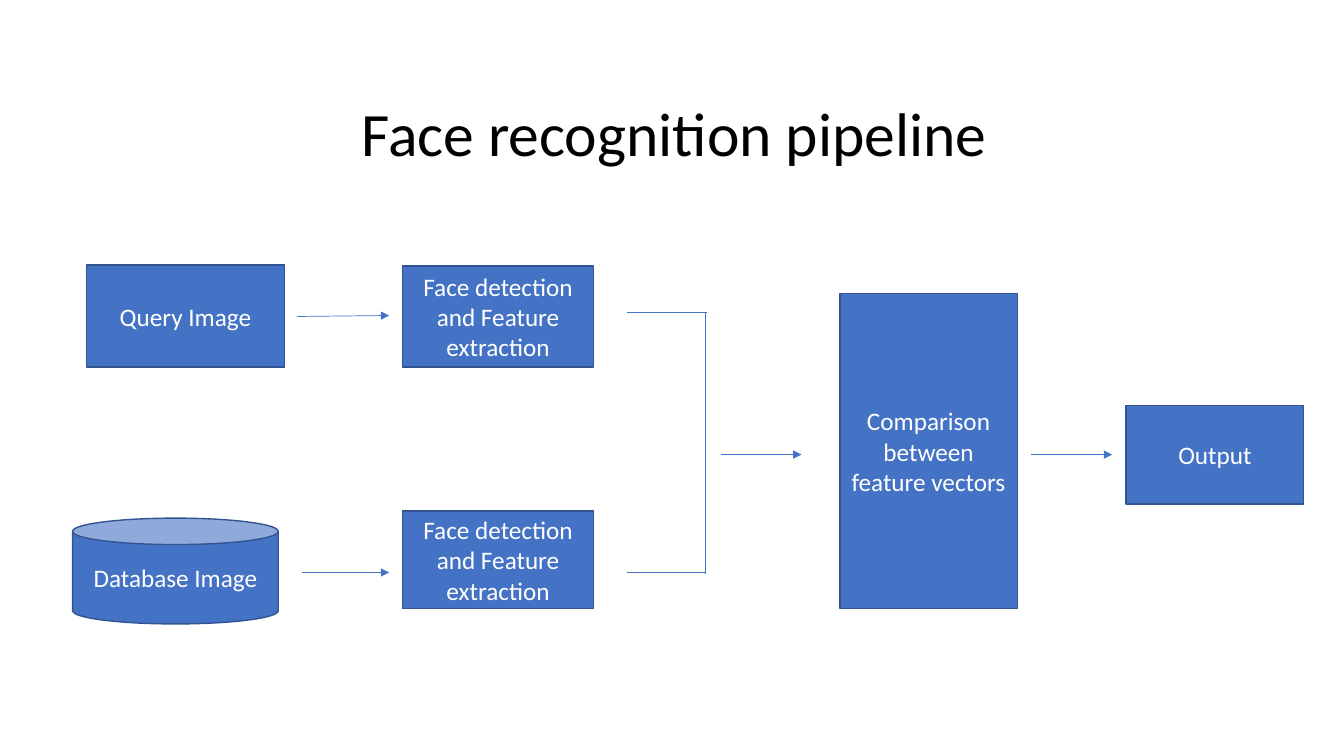
from lxml import etree
from pptx import Presentation, util as u
from pptx.dml.color import RGBColor
from pptx.enum import shapes, text
from pptx.oxml.ns import qn

PX = 9144  # EMU per px, 100 px to the inch
FONT = "Calibri"
HEX = {"fill": "4472C4", "edge": "325491", "light": "FFFFFF", "dark": "000000"}
RECT = shapes.MSO_SHAPE.RECTANGLE
CAN = shapes.MSO_SHAPE.CAN


def color(name):
    return RGBColor.from_string(HEX[name])


def style(para, size, name):
    para.alignment = text.PP_ALIGN.CENTER
    para.font.size = u.Pt(size)
    para.font.name = FONT
    para.font.color.rgb = color(name)


def add_node(slide, box, label, kind=RECT):
    node = slide.shapes.add_shape(kind, *(n * PX for n in box))
    node.shadow.inherit = False
    node.fill.solid()
    node.fill.fore_color.rgb = color("fill")
    node.line.color.rgb = color("edge")
    node.line.width = u.Pt(1)
    frame = node.text_frame
    frame.word_wrap = True
    frame.vertical_anchor = text.MSO_ANCHOR.MIDDLE
    frame.text = label
    style(frame.paragraphs[0], 18, "light")


def add_line(slide, start, end, arrow=False):
    line = slide.shapes.add_connector(
        shapes.MSO_CONNECTOR.STRAIGHT, *(n * PX for n in start + end))
    line.line.color.rgb = color("fill")
    line.line.width = u.Pt(0.5)
    if arrow:
        etree.SubElement(line.line._get_or_add_ln(), qn("a:tailEnd"), type="triangle")
    etree.SubElement(line._element.spPr, qn("a:effectLst"))


def add_title(slide, box, label):
    title = slide.shapes.title
    title.left, title.top, title.width, title.height = (n * PX for n in box)
    frame = title.text_frame
    frame.text = label
    frame.word_wrap = True
    frame.auto_size = text.MSO_AUTO_SIZE.NONE
    frame.vertical_anchor = text.MSO_ANCHOR.MIDDLE
    para = frame.paragraphs[0]
    style(para, 44, "dark")
    para.line_spacing = 0.9


def add_branch(slide, box, label, kind, detect, arrow):
    """Image source filling the box, then an arrow to face detection.

    detect is (dy, height); arrow is (dx, start dy, end dy).
    """
    x, y, wide, high = box
    dx, start, end = arrow
    add_node(slide, box, label, kind)
    add_line(slide, (x + wide + dx, y + start), (386, y + end), True)
    add_node(slide, (399, y + detect[0], 190, detect[1]),
             "Face detection and Feature extraction")


def add_merge(slide, box):
    """Bracket that gathers both branches, with an arrow leading on."""
    x, y, wide, high = box
    right, low = x + wide, y + high
    add_line(slide, (x, y), (right + 1, y))
    add_line(slide, (right, y), (right, low + 1))
    add_line(slide, (right, low), (x, low))
    add_line(slide, (right + 15, y + 141), (right + 95, y + 141), True)


def add_result(slide, box):
    """Comparison block, then an arrow to the output."""
    x, y, wide, high = box
    right, mid = x + wide, y + 160
    add_node(slide, box, "Comparison between feature vectors")
    add_line(slide, (right + 14, mid), (right + 94, mid), True)
    add_node(slide, (right + 108, mid - 49, wide, 98), "Output")


def main():
    deck = Presentation()
    deck.slide_width, deck.slide_height = 1333 * PX, 750 * PX
    slide = deck.slides.add_slide(deck.slide_layouts[5])
    add_title(slide, (96, 85, 1146, 100), "Face recognition pipeline")
    add_branch(slide, (86, 263, 196, 101), "Query Image", RECT,
               detect=(1, 100), arrow=(13, 51, 50))
    add_branch(slide, (72, 514, 204, 105), "Database Image", CAN,
               detect=(-7, 97), arrow=(24, 54, 54))
    add_merge(slide, (622, 310, 78, 258))
    add_result(slide, (833, 291, 176, 313))
    deck.save("out.pptx")


if __name__ == "__main__":
    main()
